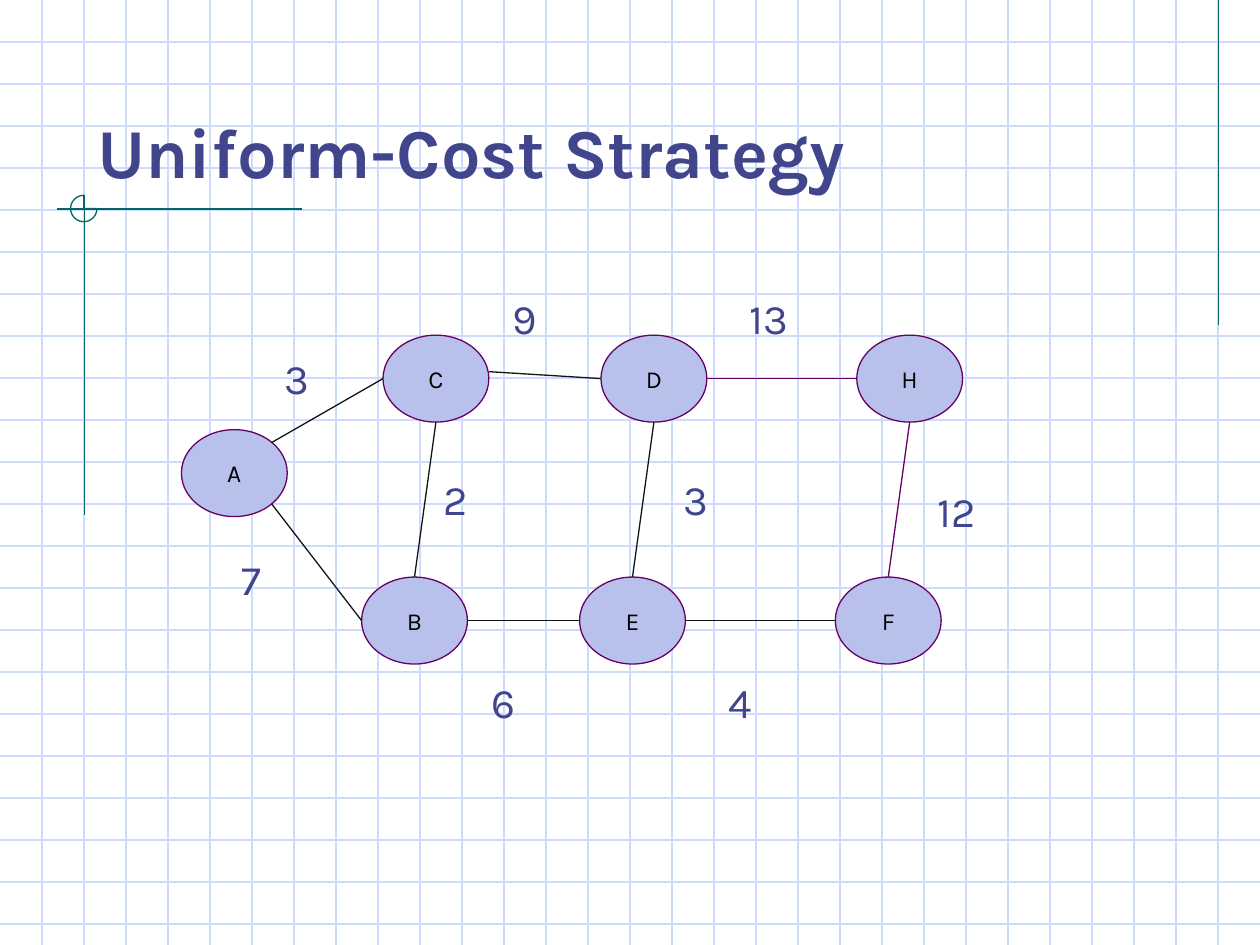
"""Build a slide that shows a weighted graph for uniform-cost search."""
from dataclasses import dataclass

from pptx import Presentation
from pptx.dml.color import RGBColor
from pptx.enum import shapes as sh, text as tx
from pptx.oxml.ns import qn
from pptx.util import Inches, Pt

GRID, TEAL, PLUM, INK = "CFDBFD", "006666", "660066", "131417"
NAVY, PALE, BLACK = "40458C", "B7C1EB", "000000"
WIDE, HIGH, STEP = 10, 7.5, 1 / 3
NODE_W, NODE_H = 0.84, 0.69
SITES = {"top": (0.5, 0), "left": (0, 0.5), "bottom": (0.5, 1), "right": (1, 0.5),
         "upper": (0.85, 0.15), "lower": (0.85, 0.85), "side": (1, 0.42)}


@dataclass
class Node:
    """A graph node with its top left corner."""
    name: str
    x: float
    y: float

    def site(self, key: str) -> tuple[float, float]:
        """Return the point at a named place on the outline."""
        dx, dy = SITES[key]
        return self.x + dx * NODE_W, self.y + dy * NODE_H


@dataclass
class Edge:
    """A link between two nodes, with its cost and the place of the cost."""
    start: str
    exit: str
    end: str
    entry: str
    cost: str
    x: float
    y: float
    color: str = INK


NODES = [Node("A", 1.44, 3.41), Node("C", 3.04, 2.66), Node("D", 4.77, 2.66),
         Node("H", 6.8, 2.66), Node("B", 2.87, 4.58), Node("E", 4.6, 4.58),
         Node("F", 6.63, 4.58)]
EDGES = [
    Edge("A", "upper", "C", "left", "3", 2.16, 2.7),
    Edge("C", "side", "D", "left", "9", 3.97, 2.22),
    Edge("D", "right", "H", "left", "13", 5.85, 2.22, PLUM),
    Edge("A", "lower", "B", "left", "7", 1.82, 4.29),
    Edge("B", "right", "E", "left", "6", 3.8, 5.27),
    Edge("E", "right", "F", "left", "4", 5.68, 5.27),
    Edge("C", "bottom", "B", "top", "2", 3.42, 3.66),
    Edge("D", "bottom", "E", "top", "3", 5.33, 3.66),
    Edge("F", "top", "H", "bottom", "12", 7.34, 3.75, PLUM),
]


def rgb(code: str) -> RGBColor:
    """Turn a hex string into a colour."""
    return RGBColor.from_string(code)


def stroke(line, color: str) -> None:
    """Give an outline its colour and width."""
    line.color.rgb = rgb(color)
    line.width = Pt(0.75)


def draw_line(slide, start: tuple, end: tuple, color: str) -> None:
    """Draw a straight line without shadow."""
    ends = [Inches(v) for v in (*start, *end)]
    link = slide.shapes.add_connector(sh.MSO_CONNECTOR.STRAIGHT, *ends)
    stroke(link.line, color)
    props = link._element.spPr
    props.append(props.makeelement(qn("a:effectLst"), {}))


def write(shape, words: str, size: int, color: str, anchor, align,
          pad: float = 0.1, bold: bool = False) -> None:
    """Put one formatted line of text in a shape."""
    frame = shape.text_frame
    frame.text = words
    form = {"word_wrap": True, "vertical_anchor": anchor,
            "auto_size": tx.MSO_AUTO_SIZE.NONE,
            "margin_left": Inches(0.1), "margin_right": Inches(0.1),
            "margin_top": Inches(pad), "margin_bottom": Inches(pad)}
    for key, value in form.items():
        setattr(frame, key, value)
    para = frame.paragraphs[0]
    para.alignment = align
    font = para.runs[0].font
    for key, value in {"name": "Karla", "size": Pt(size), "bold": bold}.items():
        setattr(font, key, value)
    font.color.rgb = rgb(color)


def draw_grid(slide) -> None:
    """Draw the squared paper and its corner marks."""
    for i in range(1, int(HIGH / STEP) + 1):
        draw_line(slide, (0, i * STEP), (WIDE, i * STEP), GRID)
    for i in range(1, int(WIDE / STEP)):
        draw_line(slide, (i * STEP, 0), (i * STEP, HIGH), GRID)
    for start, end in [((9.67, 0), (9.67, 2.58)), ((2.4, 1.66), (0.45, 1.66)),
                       ((0.67, 1.55), (0.67, 4.09))]:
        draw_line(slide, start, end, TEAL)
    box = [Inches(v) for v in (0.56, 1.55, 0.21, 0.21)]
    mark = slide.shapes.add_shape(sh.MSO_SHAPE.PIE, *box)
    mark.shadow.inherit = False
    mark.fill.background()
    stroke(mark.line, TEAL)


def draw_title(slide, words: str) -> None:
    """Place the title in front of the grid."""
    title = slide.shapes.title
    place = {"left": 0.67, "top": 0.33, "width": 8.5, "height": 1.25}
    for key, value in place.items():
        setattr(title, key, Inches(value))
    write(title, words, 40, NAVY, tx.MSO_ANCHOR.BOTTOM, tx.PP_ALIGN.LEFT, 0.05, True)
    slide.shapes._spTree.append(title._element)


def draw_node(slide, node: Node) -> None:
    """Draw a node as a named ellipse."""
    box = [Inches(v) for v in (node.x, node.y, NODE_W, NODE_H)]
    oval = slide.shapes.add_shape(sh.MSO_SHAPE.OVAL, *box)
    oval.shadow.inherit = False
    oval.fill.solid()
    oval.fill.fore_color.rgb = rgb(PALE)
    stroke(oval.line, PLUM)
    write(oval, node.name, 14, BLACK, tx.MSO_ANCHOR.MIDDLE, tx.PP_ALIGN.CENTER)


def draw_edge(slide, edge: Edge, nodes: dict[str, Node]) -> None:
    """Draw an edge and its cost."""
    start = nodes[edge.start].site(edge.exit)
    end = nodes[edge.end].site(edge.entry)
    draw_line(slide, start, end, edge.color)
    box = [Inches(v) for v in (edge.x, edge.y, 0.72, 0.61)]
    cost = slide.shapes.add_textbox(*box)
    write(cost, edge.cost, 24, NAVY, tx.MSO_ANCHOR.TOP, tx.PP_ALIGN.LEFT)


def main() -> None:
    """Build and save the slide."""
    deck = Presentation()
    deck.slide_width, deck.slide_height = Inches(WIDE), Inches(HIGH)
    slide = deck.slides.add_slide(deck.slide_layouts[5])
    draw_grid(slide)
    draw_title(slide, "Uniform-Cost Strategy")
    for node in NODES:
        draw_node(slide, node)
    nodes = {node.name: node for node in NODES}
    for edge in EDGES:
        draw_edge(slide, edge, nodes)
    deck.save("out.pptx")


if __name__ == "__main__":
    main()
